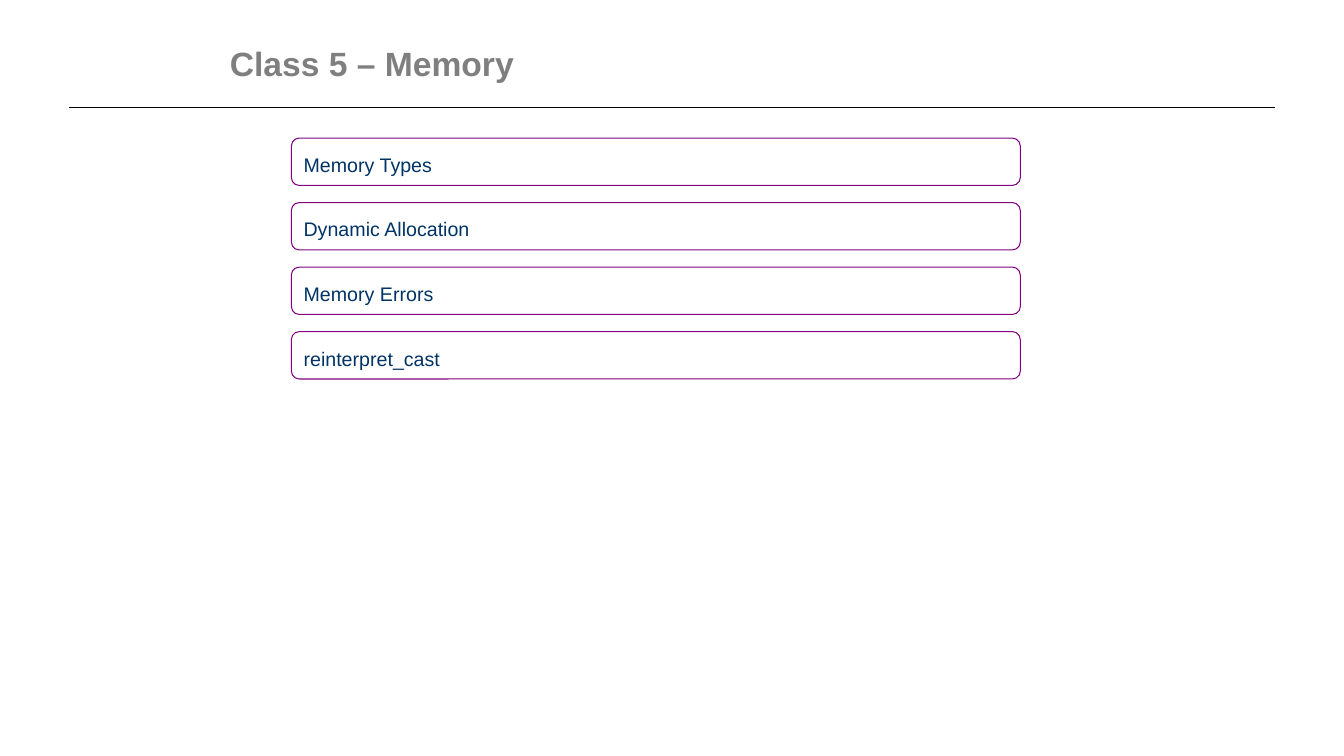
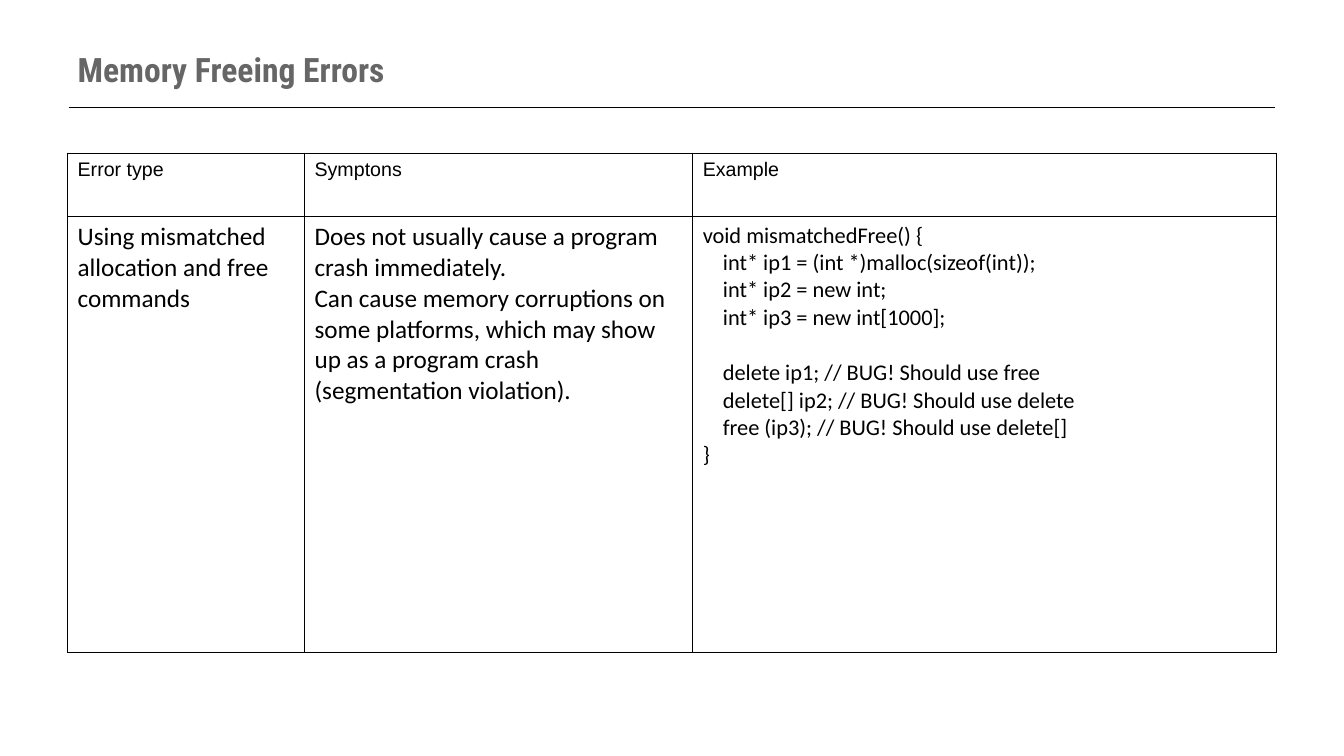
import pptx
import pptx.dml.color
import pptx.enum.shapes
import pptx.enum.text
import pptx.oxml
import pptx.oxml.ns
import pptx.util

EMU_PER_PX = 9144
BLACK, GRAY, DARK_GRAY = "000000", "7F7F7F", "666666"
NAVY, PURPLE = "003366", "800080"
TOPICS = ["Memory Types", "Dynamic Allocation", "Memory Errors", "reinterpret_cast"]
HEADERS = ["Error type", "Symptons", "Example"]
ERROR_TYPE = ["Using mismatched allocation and free commands"]
SYMPTOMS = [
    "Does not usually cause a program crash immediately.",
    "Can cause memory corruptions on some platforms, which may show up "
    "as a program crash (segmentation violation).",
]
DECLARATIONS = [
    "int* ip1 = (int *)malloc(sizeof(int));",
    "int* ip2 = new int;",
    "int* ip3 = new int[1000];",
]
RELEASES = [
    "delete ip1; // BUG! Should use free",
    "delete[] ip2; // BUG! Should use delete",
    "free (ip3); // BUG! Should use delete[]",
]
CODE = ["void mismatchedFree() {", *DECLARATIONS, *RELEASES, "}"]


def px(n):
    return pptx.util.Emu(n * EMU_PER_PX)


def rgb(color):
    return pptx.dml.color.RGBColor.from_string(color)


def write(tf, lines, font, size, color, bold=False):
    tf.word_wrap = True
    for i, line in enumerate(lines):
        p = tf.paragraphs[0] if i == 0 else tf.add_paragraph()
        p.alignment = pptx.enum.text.PP_ALIGN.LEFT
        r = p.add_run()
        r.text = line
        r.font.name = font
        r.font.size = pptx.util.Pt(size)
        r.font.bold = bold
        r.font.color.rgb = rgb(color)


def set_title(slide, text, box, font, color):
    sp = slide.shapes.title
    sp.left, sp.top, sp.width, sp.height = map(px, box)
    tf = sp.text_frame
    tf.auto_size = pptx.enum.text.MSO_AUTO_SIZE.NONE
    tf.vertical_anchor = pptx.enum.text.MSO_ANCHOR.MIDDLE
    write(tf, [text], font, 24, color, bold=True)


def add_layout_rule(slide):
    line = slide.shapes.add_connector(
        pptx.enum.shapes.MSO_CONNECTOR.STRAIGHT, px(68), px(107), px(1265), px(107))
    line.line.color.rgb = rgb(BLACK)
    line.line.width = pptx.util.Pt(0.75)
    sp_pr = line.element.spPr
    sp_pr.append(pptx.oxml.parse_xml(f"<a:effectLst {pptx.oxml.ns.nsdecls('a')}/>"))
    slide.slide_layout.shapes.element.append(line.element)


def add_topic(slide, text, top):
    sp = slide.shapes.add_shape(
        pptx.enum.shapes.MSO_SHAPE.ROUNDED_RECTANGLE, px(289), px(top), px(723), px(47))
    sp.shadow.inherit = False
    sp.fill.background()
    sp.line.color.rgb = rgb(PURPLE)
    sp.line.width = pptx.util.Pt(0.75)
    tf = sp.text_frame
    tf.vertical_anchor = pptx.enum.text.MSO_ANCHOR.MIDDLE
    write(tf, [text], "Arial", 14, NAVY)
    tf.paragraphs[0].line_spacing = 1.25


def style_cell(cell):
    tc_pr = cell._tc.get_or_add_tcPr()
    for side in "LRTB":
        tc_pr.append(pptx.oxml.parse_xml(
            f'<a:ln{side} {pptx.oxml.ns.nsdecls("a")} w="12700"><a:solidFill>'
            f'<a:srgbClr val="{BLACK}"/></a:solidFill></a:ln{side}>'))
    cell.fill.background()


def indent_code(tf):
    for p in tf.paragraphs[1:-1]:
        p._p.get_or_add_pPr().set("marL", str(px(20)))
    first_release = tf.paragraphs[1 + len(DECLARATIONS)]
    first_release.space_before = pptx.util.Pt(20)


def add_error_table(slide):
    widths, heights = [235, 385, 579], [63, 432]
    table = slide.shapes.add_table(
        2, 3, px(67), px(152), px(sum(widths)), px(sum(heights))).table
    table.first_row = table.horz_banding = False
    for column, width in zip(table.columns, widths):
        column.width = px(width)
    for row, height in zip(table.rows, heights):
        row.height = px(height)
    for cell in table.iter_cells():
        style_cell(cell)
    for col, header in enumerate(HEADERS):
        write(table.cell(0, col).text_frame, [header], "Arial", 14, BLACK)
    details = [(ERROR_TYPE, 18), (SYMPTOMS, 18), (CODE, 16)]
    for col, (lines, size) in enumerate(details):
        write(table.cell(1, col).text_frame, lines, "Calibri", size, BLACK)
    indent_code(table.cell(1, 2).text_frame)


def main():
    prs = pptx.Presentation()
    prs.slide_width, prs.slide_height = px(1333), px(750)
    layout = prs.slide_layouts.get_by_name("Title Only")

    agenda = prs.slides.add_slide(layout)
    add_layout_rule(agenda)
    set_title(agenda, "Class 5 – Memory", (218, 0, 900, 125), "Arial", GRAY)
    for i, topic in enumerate(TOPICS):
        add_topic(agenda, topic, 137 + 64 * i)

    errors = prs.slides.add_slide(layout)
    set_title(errors, "Memory Freeing Errors", (67, 30, 1200, 77),
              "Roboto Condensed", DARK_GRAY)
    add_error_table(errors)

    prs.save("out.pptx")


if __name__ == "__main__":
    main()
